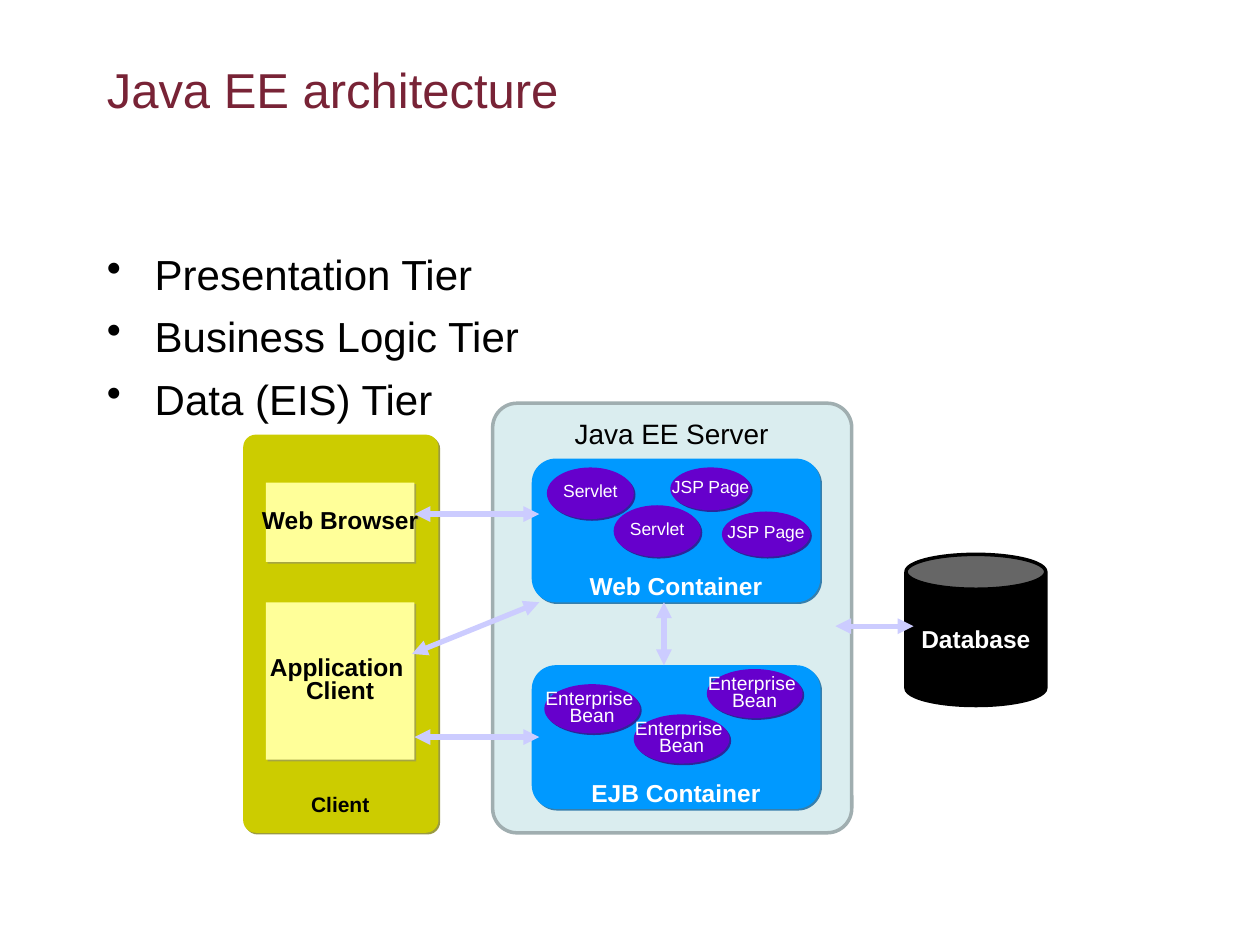
from lxml import etree
from pptx import Presentation
from pptx.dml.color import RGBColor as RGB
from pptx.enum.shapes import MSO_CONNECTOR as Link, MSO_SHAPE as Kind
from pptx.enum.text import MSO_ANCHOR as Anchor, PP_ALIGN as Align
from pptx.oxml.ns import qn
from pptx.util import Inches, Pt

MAROON = RGB(0x78, 0x23, 0x36)
BLACK = RGB(0, 0, 0)
WHITE = RGB(0xFF, 0xFF, 0xFF)
OLIVE = RGB(0xCC, 0xCC, 0x00)
YELLOW = RGB(0xFF, 0xFF, 0x99)
PALE = RGB(0xDA, 0xED, 0xEF)
GREY = RGB(0xA0, 0xAE, 0xB0)
BLUE = RGB(0x00, 0x99, 0xFF)
PURPLE = RGB(0x66, 0x00, 0xCC)
LILAC = RGB(0xCC, 0xCC, 0xFF)
SHADE = {
    OLIVE: RGB(0x79, 0x79, 0x00),
    YELLOW: RGB(0x98, 0x98, 0x5B),
    BLUE: RGB(0x00, 0x5B, 0x98),
    PURPLE: RGB(0x3C, 0x00, 0x79),
}


def write(shape, lines, size, color, bold=False, align=Align.CENTER, space=None):
    frame = shape.text_frame
    frame.text = "\n".join(lines)
    for para in frame.paragraphs:
        para.alignment = align
        para.line_spacing = space
        font = para.font
        font.name, font.size, font.bold = "Arial", Pt(size), bold
        font.color.rgb = color
    return frame


def add_text(slide, box, lines, size, color, **style):
    shape = slide.shapes.add_textbox(*map(Inches, box))
    frame = write(shape, lines, size, color, **style)
    frame.word_wrap = True
    return frame


def add_shadow(shape, color):
    """Give the shape a hard shadow down and to the right."""
    effects = shape.element.spPr.find(qn("a:effectLst"))
    outer = etree.SubElement(effects, qn("a:outerShdw"), blurRad="0",
                             dist=str(Pt(1.4)), dir="2700000", algn="ctr", rotWithShape="0")
    tint = etree.SubElement(outer, qn("a:srgbClr"), val=str(color))
    etree.SubElement(tint, qn("a:alpha"), val="75000")


def add_part(slide, kind, box, fill, line=None, round_by=None):
    shape = slide.shapes.add_shape(kind, *map(Inches, box))
    shape.shadow.inherit = False
    shape.fill.solid()
    shape.fill.fore_color.rgb = fill
    if line is None:
        shape.line.fill.background()
    else:
        shape.line.color.rgb = line
        shape.line.width = Pt(2)
    if round_by is not None:
        shape.adjustments[0] = round_by
    if fill in SHADE:
        add_shadow(shape, SHADE[fill])
    return shape


def label(shape, lines, size, color, **style):
    frame = write(shape, lines, size, color, **style)
    frame.word_wrap = False
    frame.vertical_anchor = Anchor.MIDDLE


def add_arrow(slide, start, end):
    """Draw a line with a head at both ends."""
    arrow = slide.shapes.add_connector(Link.STRAIGHT, *map(Inches, start + end))
    arrow.line.color.rgb = LILAC
    arrow.line.width = Pt(3)
    for tag in ("a:headEnd", "a:tailEnd"):
        etree.SubElement(arrow.line._get_or_add_ln(), qn(tag), type="triangle")
    etree.SubElement(arrow.element.spPr, qn("a:effectLst"))


def add_tiers(slide, box):
    tiers = ["Presentation Tier", "Business Logic Tier", "Data (EIS) Tier"]
    frame = add_text(slide, box, tiers, 24, BLACK, align=Align.LEFT)
    indent = Inches(0.38)
    for para in frame.paragraphs:
        para.space_before = Pt(7)
        props = para._p.get_or_add_pPr()
        props.set("marL", str(indent))
        props.set("indent", str(-indent))
        etree.SubElement(props, qn("a:buChar"), char="•")
        # The bullet has to come before the default run properties.
        props.append(props.find(qn("a:defRPr")))


def add_client(slide, box):
    left, top, wide, high = box
    add_part(slide, Kind.ROUNDED_RECTANGLE, box, OLIVE, round_by=0.065)
    add_text(slide, (left + 0.06, top + 2.78, wide - 0.13, 0.3), ["Client"], 12, BLACK, bold=True)
    apps = [
        (0.38, 0.63, ["Web Browser"]),
        (1.33, 1.25, ["Application ", "Client"]),
    ]
    for down, tall, lines in apps:
        app = add_part(slide, Kind.RECTANGLE, (left + 0.18, top + down, 1.18, tall), YELLOW)
        label(app, lines, 14, BLACK, bold=True, space=0.8)


def add_holder(slide, box, name, size, beans):
    """Draw a container, its name at the foot and its ovals."""
    left, top, wide, high = box
    add_part(slide, Kind.ROUNDED_RECTANGLE, box, BLUE, round_by=0.167)
    foot = add_text(slide, (left, top + high - 0.2, wide, 0.2), [name], 14, WHITE,
                    bold=True, space=0.8)
    foot.margin_top = foot.margin_bottom = 0
    for x, y, w, h, lines in beans:
        bean = add_part(slide, Kind.OVAL, (left + x, top + y, w, h), PURPLE)
        label(bean, lines, size, WHITE, space=0.75)


def add_server(slide, box):
    left, top, wide, high = box
    add_part(slide, Kind.ROUNDED_RECTANGLE, box, PALE, GREY, 0.068)
    add_text(slide, (left + 0.43, top + 0.06, 1.98, 0.37), ["Java EE Server"], 16, BLACK)
    pages = [
        (0.12, 0.07, 0.69, 0.41, ["Servlet"]),
        (1.1, 0.07, 0.64, 0.34, ["JSP Page"]),
        (1.51, 0.42, 0.7, 0.36, ["JSP Page"]),
        (0.65, 0.37, 0.69, 0.41, ["Servlet"]),
    ]
    spots = [(0.1, 0.15), (1.39, 0.03), (0.81, 0.39)]
    beans = [(x, y, 0.76, 0.39, ["Enterprise ", "Bean"]) for x, y in spots]
    holders = [
        (0.44, "Web Container", 10, pages),
        (2.08, "EJB Container", 11, beans),
    ]
    for down, name, size, parts in holders:
        add_holder(slide, (left + 0.31, top + down, 2.29, 1.14), name, size, parts)


def add_store(slide, box):
    can = add_part(slide, Kind.CAN, box, BLACK, BLACK, 0.25)
    label(can, ["Database"], 14, WHITE, bold=True)


def add_flows(slide):
    flows = [
        ((3.29, 4.08), (4.28, 4.08)),
        ((3.27, 5.19), (4.28, 4.78)),
        ((3.29, 5.85), (4.28, 5.85)),
        ((5.27, 4.78), (5.27, 5.28)),
        ((6.63, 4.97), (7.25, 4.97)),
    ]
    for start, end in flows:
        add_arrow(slide, start, end)


def main():
    deck = Presentation()
    deck.slide_width, deck.slide_height = Inches(10), Inches(7.5)
    slide = deck.slides.add_slide(deck.slide_layouts[6])
    add_text(slide, (0.75, 0.42, 8.5, 1.25), ["Java EE architecture"], 28, MAROON,
             align=Align.LEFT)
    add_tiers(slide, (0.75, 1.92, 8.5, 4.5))
    add_client(slide, (1.93, 3.45, 1.55, 3.16))
    add_server(slide, (3.91, 3.2, 2.85, 3.41))
    add_store(slide, (7.19, 4.4, 1.11, 1.2))
    add_flows(slide)
    deck.save("out.pptx")


if __name__ == "__main__":
    main()
